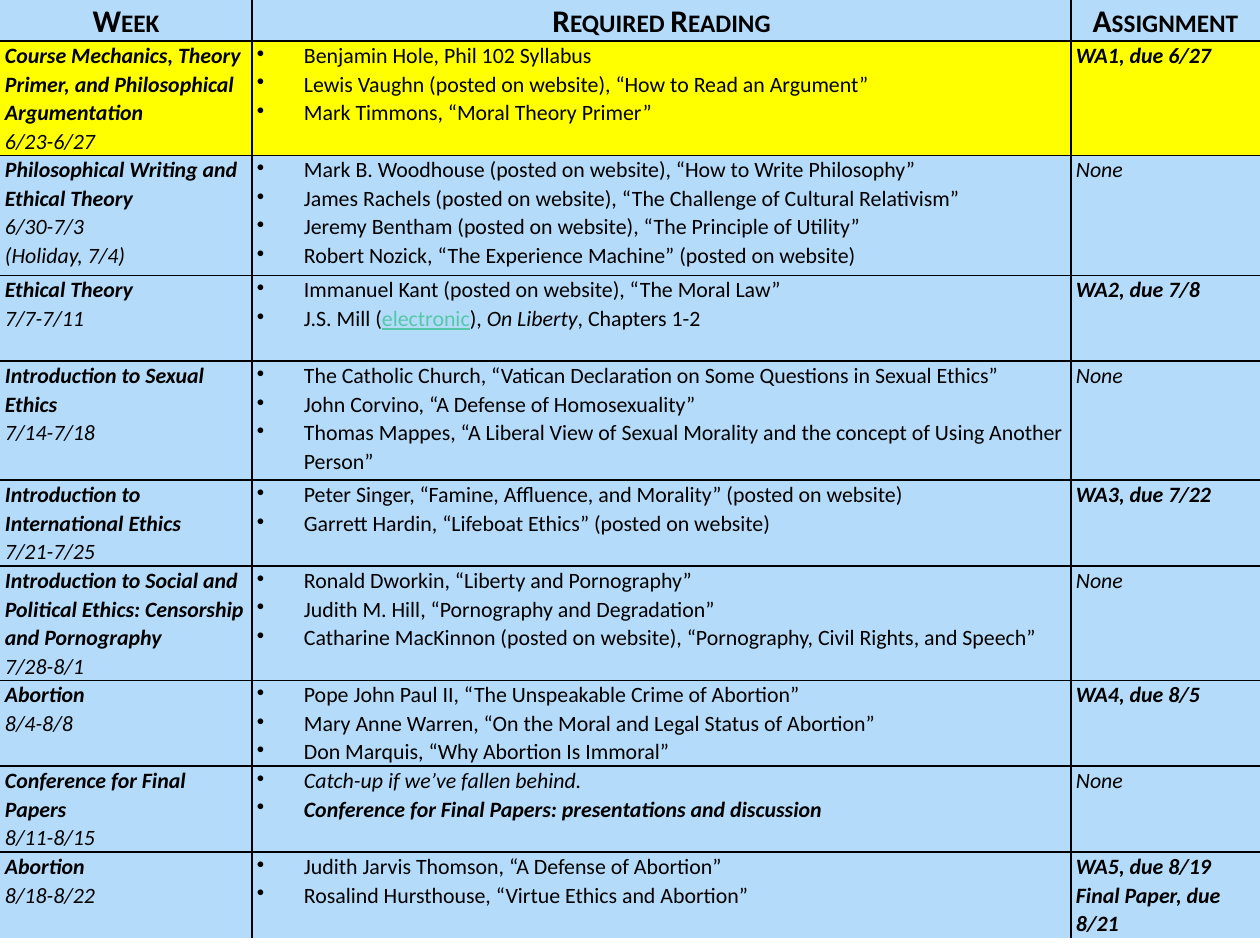
"""Build a course schedule slide: weeks, required reading and assignments."""
from lxml import etree
from pptx import Presentation
from pptx import util as u
from pptx.dml.color import RGBColor
from pptx.enum import text
from pptx.oxml.ns import qn

BLACK = RGBColor(0, 0, 0)
BLUE = RGBColor(0xB4, 0xDC, 0xFA)
YELLOW = RGBColor(0xFF, 0xFF, 0)
GREEN = RGBColor(0x56, 0xC7, 0xAA)
FONT = "Calibri"
PX = 914400 / 126

HEADS = ["Week", "Required Reading", "Assignment"]
COLS = [252, 819, 189]
ROWS = [41, 114, 120, 86, 119, 86, 114, 85, 86, 86]
NOW = 1
WEEKS = [
    ("Course Mechanics, Theory Primer, and Philosophical Argumentation", ["6/23-6/27"],
     ["Benjamin Hole, Phil 102 Syllabus",
      "Lewis Vaughn (posted on website), “How to Read an Argument”",
      "Mark Timmons, “Moral Theory Primer”"],
     ["WA1, due 6/27"]),
    ("Philosophical Writing and Ethical Theory", ["6/30-7/3", "(Holiday, 7/4)"],
     ["Mark B. Woodhouse (posted on website), “How to Write Philosophy”",
      "James Rachels (posted on website), “The Challenge of Cultural Relativism”",
      "Jeremy Bentham (posted on website), “The Principle of Utility”",
      "Robert Nozick, “The Experience Machine” (posted on website)"],
     []),
    ("Ethical Theory", ["7/7-7/11"],
     ["Immanuel Kant (posted on website), “The Moral Law”",
      [("J.S. Mill (", ""), ("electronic", "u"), ("), ", ""),
       ("On Liberty", "i"), (", Chapters 1-2", "")]],
     ["WA2, due 7/8"]),
    ("Introduction to Sexual Ethics", ["7/14-7/18"],
     ["The Catholic Church, “Vatican Declaration on Some Questions in Sexual Ethics”",
      "John Corvino, “A Defense of Homosexuality”",
      "Thomas Mappes, “A Liberal View of Sexual Morality and the concept of "
      "Using Another Person”"],
     []),
    ("Introduction to International Ethics", ["7/21-7/25"],
     ["Peter Singer, “Famine, Affluence, and Morality” (posted on website)",
      "Garrett Hardin, “Lifeboat Ethics” (posted on website)"],
     ["WA3, due 7/22"]),
    ("Introduction to Social and Political Ethics: Censorship and Pornography", ["7/28-8/1"],
     ["Ronald Dworkin, “Liberty and Pornography”",
      "Judith M. Hill, “Pornography and Degradation”",
      "Catharine MacKinnon (posted on website), “Pornography, Civil Rights, and Speech”"],
     []),
    ("Abortion", ["8/4-8/8"],
     ["Pope John Paul II, “The Unspeakable Crime of Abortion”",
      "Mary Anne Warren, “On the Moral and Legal Status of Abortion”",
      "Don Marquis, “Why Abortion Is Immoral”"],
     ["WA4, due 8/5"]),
    ("Conference for Final Papers", ["8/11-8/15"],
     [[("Catch-up if we’ve fallen behind.", "i")],
      [("Conference for Final Papers: presentations and discussion", "bi")]],
     []),
    ("Abortion", ["8/18-8/22"],
     ["Judith Jarvis Thomson, “A Defense of Abortion”",
      "Rosalind Hursthouse, “Virtue Ethics and Abortion”"],
     ["WA5, due 8/19", "Final Paper, due 8/21"]),
]


def px(n):
    return u.Emu(round(n * PX))


def edge(cell, side, show):
    line = etree.SubElement(cell._tc.get_or_add_tcPr(), qn("a:ln" + side), w="12700")
    if show:
        fill = etree.SubElement(line, qn("a:solidFill"))
        etree.SubElement(fill, qn("a:srgbClr"), val=str(BLACK))
    else:
        etree.SubElement(line, qn("a:noFill"))


def style(cell, row, col):
    cell.margin_left = cell.margin_right = px(5)
    cell.margin_top = cell.margin_bottom = 0
    edge(cell, "L", col > 0)
    edge(cell, "R", col < len(COLS) - 1)
    edge(cell, "T", row > 0)
    edge(cell, "B", row < len(ROWS) - 1)
    cell.fill.solid()
    cell.fill.fore_color.rgb = YELLOW if row == NOW else BLUE


def write(cell, paras, size=12.5, head=False, dots=False):
    frame = cell.text_frame
    for n, runs in enumerate(paras):
        para = frame.add_paragraph() if n else frame.paragraphs[0]
        para.line_spacing = 1.07
        para.alignment = text.PP_ALIGN.CENTER if head else text.PP_ALIGN.LEFT
        if dots:
            prop = para._p.get_or_add_pPr()
            prop.set("marL", str(px(47)))
            prop.set("indent", str(-px(47)))
            etree.SubElement(prop, qn("a:buChar"), char="•")
        for words, marks in runs:
            run = para.add_run()
            run.text = words
            font = run.font
            font.name, font.size = FONT, u.Pt(size)
            font.bold, font.italic = "b" in marks, "i" in marks
            font.underline = "u" in marks
            font.color.rgb = GREEN if "u" in marks else BLACK
            if head:
                run._r.get_or_add_rPr().set("cap", "small")


def main():
    deck = Presentation()
    deck.slide_width, deck.slide_height = px(1260), px(945)
    slide = deck.slides.add_slide(deck.slide_layouts[6])
    table = slide.shapes.add_table(
        len(ROWS), len(COLS), 0, 0, px(sum(COLS)), px(sum(ROWS))).table
    table.first_row = table.horz_banding = False
    for col, wide in zip(table.columns, COLS):
        col.width = px(wide)
    for row, high in zip(table.rows, ROWS):
        row.height = px(high)
    for r in range(len(ROWS)):
        for c in range(len(COLS)):
            style(table.cell(r, c), r, c)

    for c, name in enumerate(HEADS):
        write(table.cell(0, c), [[(name, "b")]], size=18, head=True)
    for r, (topic, dates, books, tasks) in enumerate(WEEKS, 1):
        write(table.cell(r, 0), [[(topic, "bi")]] + [[(day, "i")] for day in dates])
        write(table.cell(r, 1),
              [[(book, "")] if isinstance(book, str) else book for book in books], dots=True)
        write(table.cell(r, 2), [[(task, "bi")] for task in tasks] or [[("None", "i")]])
    deck.save("out.pptx")


if __name__ == "__main__":
    main()
